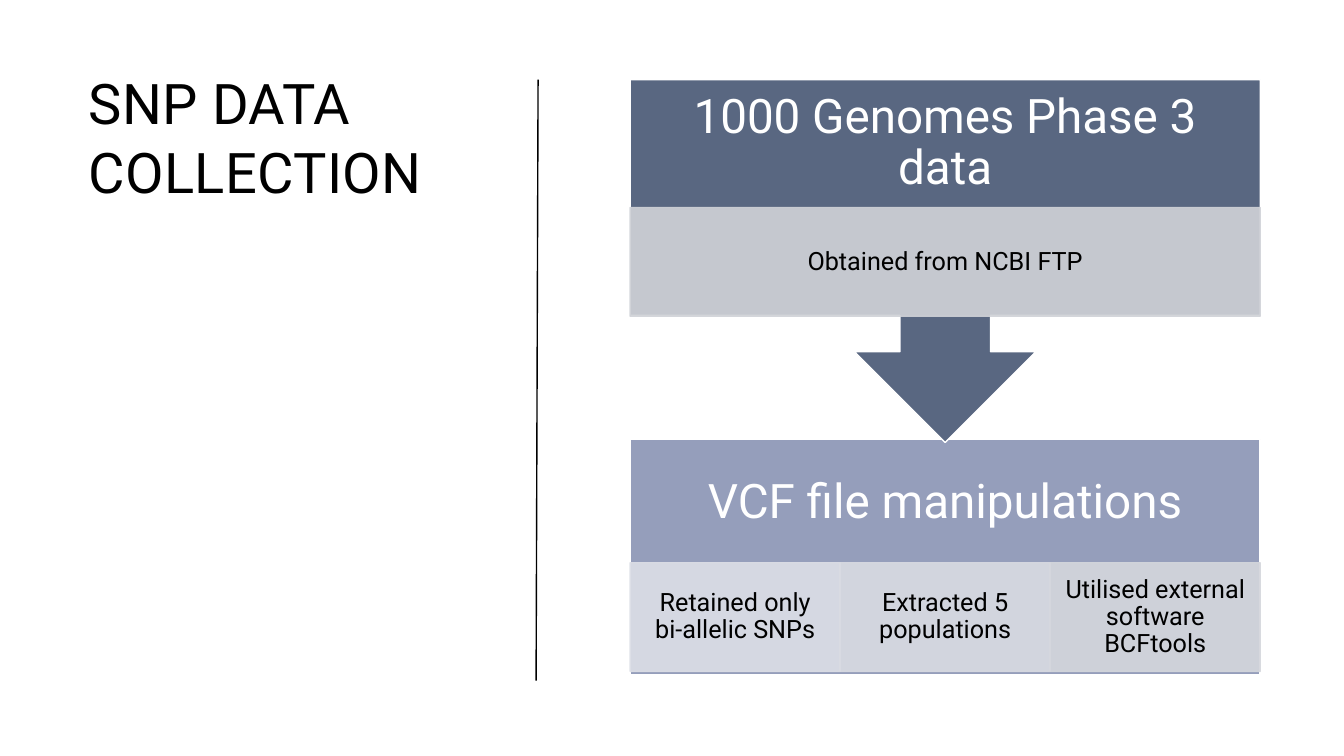
from lxml import etree
from pptx import Presentation
from pptx.dml.color import RGBColor
from pptx.enum.shapes import MSO_CONNECTOR, MSO_SHAPE
from pptx.enum.text import MSO_ANCHOR, MSO_AUTO_SIZE, PP_ALIGN
from pptx.oxml.ns import qn
from pptx.util import Cm, Pt

RECT = MSO_SHAPE.RECTANGLE
CALLOUT = MSO_SHAPE.DOWN_ARROW_CALLOUT
LINE = MSO_CONNECTOR.STRAIGHT
TOP, MIDDLE = MSO_ANCHOR.TOP, MSO_ANCHOR.MIDDLE
LEFT, CENTER = PP_ALIGN.LEFT, PP_ALIGN.CENTER
FIXED = MSO_AUTO_SIZE.NONE

SIDE, WIDE = 15.88, 15.88
STEPS = [
    ("Retained only bi-allelic SNPs", "DDDFE7"),
    ("Extracted 5 populations", "D9DBE2"),
    ("Utilised external software BCFtools", "D5D7DD"),
]


def paint(fmt, color, alpha=None):
    """Give a fill a solid colour, with an opacity in percent if asked."""
    fmt.solid()
    fmt.fore_color.rgb = RGBColor.from_string(color)
    if alpha:
        node = fmt._xPr.find(".//" + qn("a:srgbClr"))
        etree.SubElement(node, qn("a:alpha"), val=str(alpha * 1000))


def style(item, values):
    """Set each attribute of an item from a dict."""
    for name, value in values.items():
        setattr(item, name, value)


def write(shape, text, size, color, align, anchor, pad, space):
    """Put one formatted paragraph in a shape and return its run."""
    frame = shape.text_frame
    across, down = pad
    style(frame, {
        "auto_size": FIXED, "word_wrap": True, "vertical_anchor": anchor,
        "margin_left": Cm(across), "margin_right": Cm(across),
        "margin_top": Cm(down), "margin_bottom": Cm(down),
    })
    para = frame.paragraphs[0]
    style(para, {"alignment": align, "line_spacing": space})
    run = para.add_run()
    run.text = text
    style(run.font, {"name": "Roboto", "size": Pt(size)})
    paint(run.font.fill, color)
    return run


def block(slide, kind, box, fill, edge, alpha=None):
    """Add a filled shape with a thin edge."""
    shape = slide.shapes.add_shape(kind, *map(Cm, box))
    shape.shadow.inherit = False
    paint(shape.fill, fill, alpha)
    paint(shape.line.fill, edge, alpha)
    shape.line.width = Pt(1)
    return shape


def head(slide, text, top, high):
    """Add the large white heading of a stage."""
    box = slide.shapes.add_textbox(*map(Cm, (SIDE, top, WIDE, high)))
    write(box, text, 34, "FFFFFF", CENTER, MIDDLE, (0.66, 0.66), 0.9)


def tile(slide, text, box, color):
    """Add a pale detail box."""
    shape = block(slide, RECT, box, color, color, 90)
    write(shape, text, 18, "000000", CENTER, MIDDLE, (0.36, 0.08), 0.9)


def title(slide, text):
    """Place and format the slide title."""
    shape = slide.shapes.title
    style(shape, {"left": Cm(1.98), "top": Cm(1.55),
                  "width": Cm(10.46), "height": Cm(12.67)})
    run = write(shape, text, 40, "000000", LEFT, TOP, (0.25, 0.13), 1.03)
    run._r.get_or_add_rPr().set("spc", "30")


def rule(slide, start, end):
    """Add the thin dividing line."""
    line = slide.shapes.add_connector(LINE, *map(Cm, start + end))
    paint(line.line.fill, "000000")
    line.line.width = Pt(1)
    etree.SubElement(line._element.spPr, qn("a:effectLst"))


def main():
    """Build and save the slide."""
    deck = Presentation()
    style(deck, {"slide_width": Cm(33.87), "slide_height": Cm(19.05)})
    slide = deck.slides.add_slide(deck.slide_layouts[5])
    title(slide, "SNP DATA COLLECTION")
    rule(slide, (13.51, 17.15), (13.56, 2.01))

    block(slide, RECT, (SIDE, 11.07, WIDE, 5.94), "959EBB", "FFFFFF")
    head(slide, "VCF file manipulations", 11.07, 3.21)
    part = WIDE / len(STEPS)
    for i, (text, color) in enumerate(STEPS):
        tile(slide, text, (SIDE + i * part, 14.18, part, 2.74), color)

    block(slide, CALLOUT, (SIDE, 2.01, WIDE, 9.14), "596781", "FFFFFF")
    head(slide, "1000 Genomes Phase 3 data", 2.01, 3.21)
    tile(slide, "Obtained from NCBI FTP", (SIDE, 5.23, WIDE, 2.74), "D1D3D8")
    deck.save("out.pptx")


if __name__ == "__main__":
    main()
